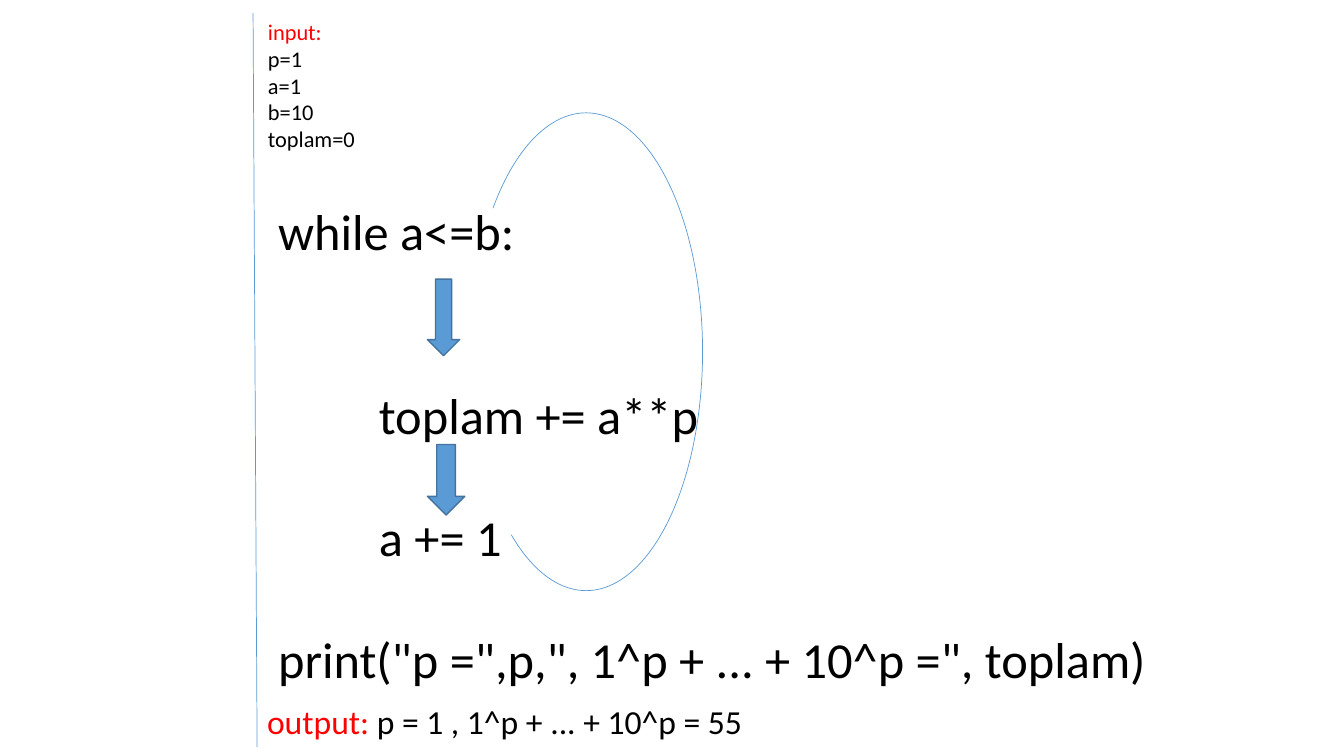
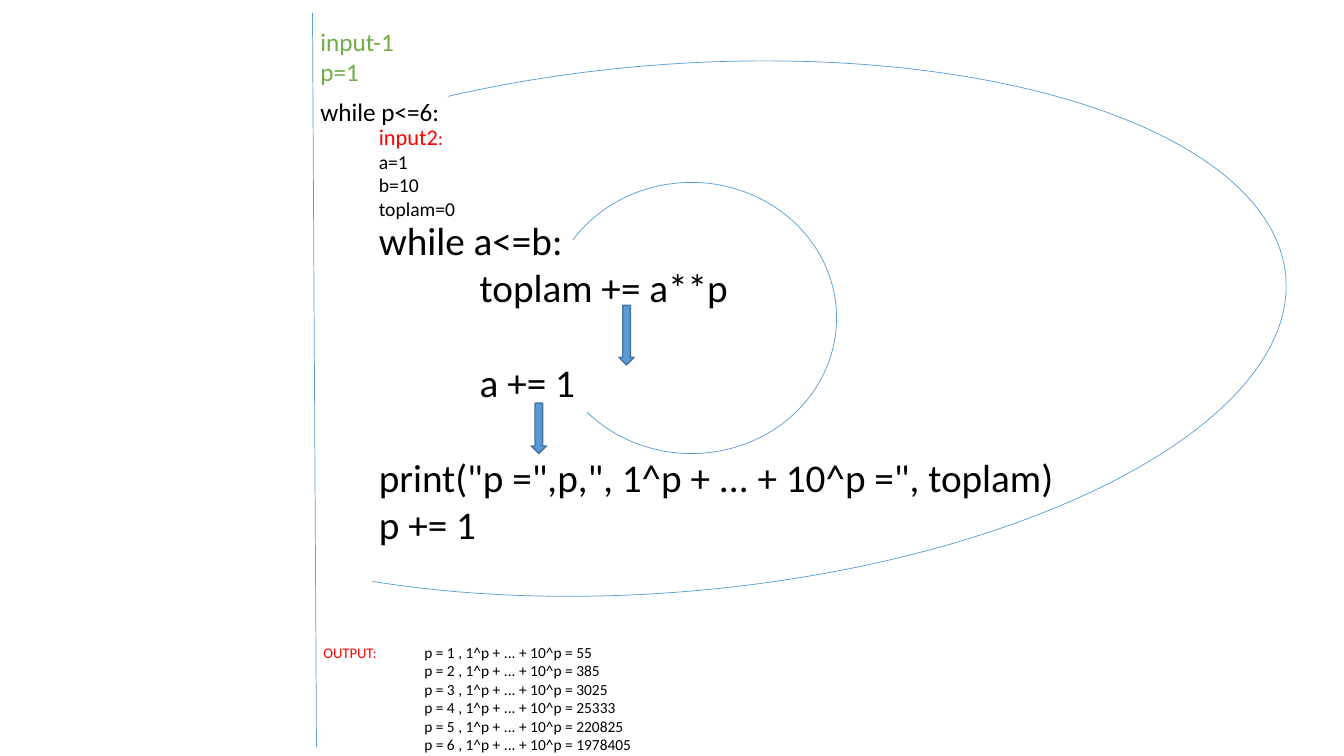
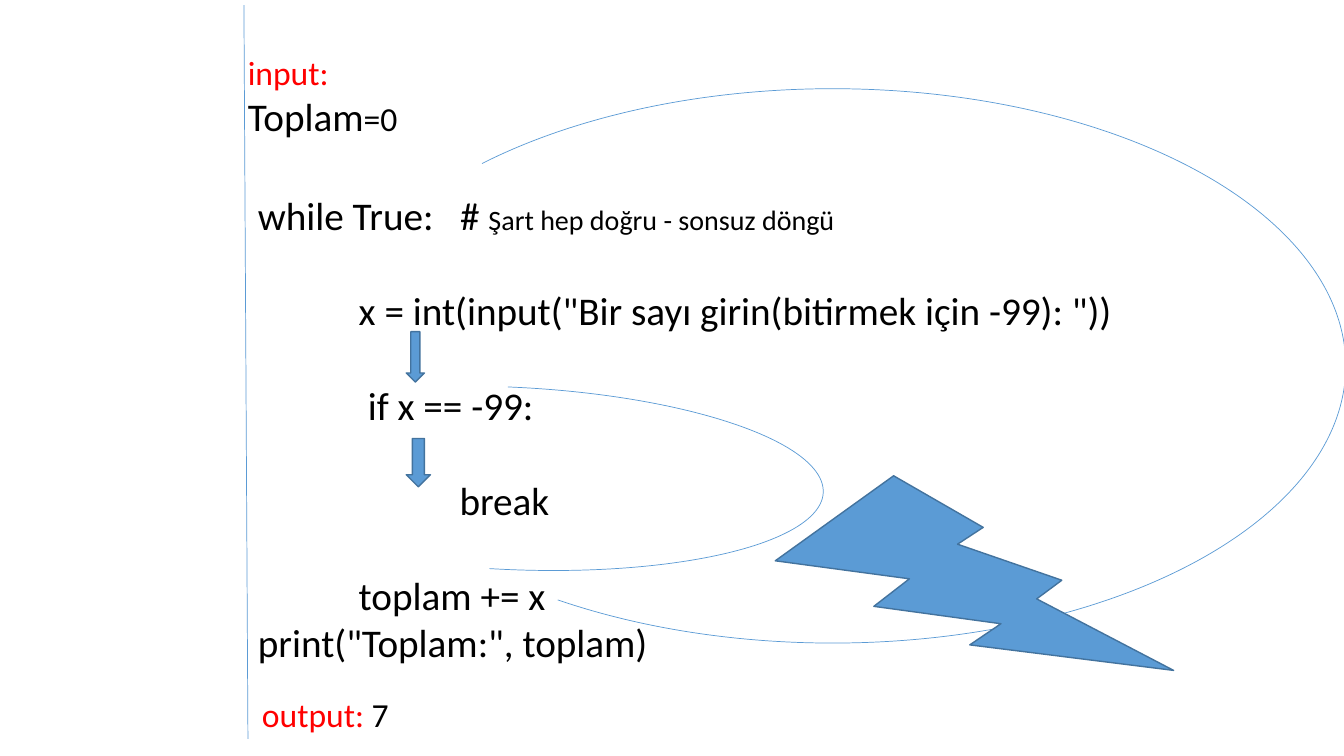
from lxml.etree import SubElement
from pptx import Presentation
from pptx.dml.color import RGBColor
from pptx.enum.shapes import MSO_CONNECTOR, MSO_SHAPE
from pptx.oxml.ns import qn
from pptx.util import Inches, Pt

BLUE = RGBColor(0x5B, 0x9B, 0xD5)
EDGE = RGBColor(0x43, 0x73, 0x9E)
RED = RGBColor(0xFF, 0x00, 0x00)
GREEN = RGBColor(0x70, 0xAD, 0x47)
BLACK = RGBColor(0x00, 0x00, 0x00)
FONT = "Calibri"
LEADING = 1.22  # line height as a multiple of the font size
TAB = Inches(1)

deck = Presentation()
deck.slide_width = Inches(13.33)
deck.slide_height = Inches(7.5)


def scale(place):
    """Turn percentages of the slide (x, y, x, y) into lengths."""
    sides = (deck.slide_width, deck.slide_height) * 2
    return [round(part * side / 100) for part, side in zip(place, sides)]


def write(slide, place, lines, size=18, color=BLACK):
    """Add text; a line is (runs, blank lines above, tabs of indent).

    Runs are a string or a list of (text, size, color).
    """
    frame = slide.shapes.add_textbox(*scale(place)).text_frame
    frame.word_wrap = True
    for row, (runs, gap, tabs) in enumerate(lines):
        para = frame.paragraphs[0] if row == 0 else frame.add_paragraph()
        if gap:
            para.space_before = Pt(round(gap * LEADING * size, 1))
        if tabs:
            para._p.get_or_add_pPr().set("marL", str(round(tabs * TAB)))
        if isinstance(runs, str):
            runs = [(runs, size, color)]
        for text, points, ink in runs:
            run = para.add_run()
            run.text = text
            run.font.name = FONT
            run.font.size = Pt(points)
            run.font.color.rgb = ink


# Slides with the thin rule at the left of the code
pages = []
for x, y in [(18.83, 1.73), (23.25, 1.73), (18.15, 0.67)]:
    page = deck.slides.add_slide(deck.slide_layouts[6])
    ends = scale((x, y, x + 0.3, y + 97.07))
    rule = page.shapes.add_connector(MSO_CONNECTOR.STRAIGHT, *ends)
    rule.line.color.rgb = BLUE
    rule.line.width = Pt(0.5)
    SubElement(rule._element.spPr, qn("a:effectLst"))
    pages.append(page)
power, nested, endless = pages

# Code, inputs and outputs
PRINT = 'print("p =",p,", 1^p + ... + 10^p =", toplam)'
write(power, (19.95, 25.87, 74.85, 66), [
    ("while a<=b:", 0, 0),
    ("toplam += a**p", 2, 1),
    ("a += 1", 1, 1),
    (PRINT, 1, 0),
], size=36)
write(power, (19.2, 1.73, 48.75, 19.33), [
    ([("input:", 16, RED)], 0, 0),
    *[(text, 0, 0) for text in ("p=1", "a=1", "b=10", "toplam=0")],
], size=16)
write(power, (19.13, 92, 50, 6.67), [
    ([("output: ", 24, RED), ("p = 1 , 1^p + ... + 10^p = 55", 24, BLACK)],
     0, 0),
])

write(nested, (27.45, 28, 54.75, 45.33), [
    ("while a<=b:", 0, 0),
    ("toplam += a**p", 0, 1),
    ("a += 1", 1, 1),
    (PRINT, 1, 0),
    ("p += 1", 0, 0),
], size=28)
write(nested, (27.45, 15.6, 48.75, 14.4), [
    ([("input2", 16, RED), (":", 14, RED)], 0, 0),
    *[(text, 0, 0) for text in ("a=1", "b=10", "toplam=0")],
], size=14)
write(nested, (23.1, 2.8, 12, 9.47),
      [("input-1", 0, 0), ("p=1", 0, 0)], color=GREEN)
write(nested, (23.1, 12.13, 12, 5.33), [("while p<=6:", 0, 0)])
sums = [f"p = {p} , 1^p + ... + 10^p = {total}" for p, total in
        enumerate((55, 385, 3025, 25333, 220825, 1978405), 1)]
write(nested, (23.33, 84.4, 35.78, 16.13), [
    ([("OUTPUT:", 10.5, RED), ("\t" + sums[0], 11, BLACK)], 0, 0),
    *[(text, 0, 1) for text in sums[1:]],
], size=11)

write(endless, (18.45, 24.67, 73.05, 64.13), [
    ([("while True:   # ", 28, BLACK),
      ("Şart hep doğru - sonsuz döngü", 20, BLACK)], 0, 0),
    ('x = int(input("Bir sayı girin(bitirmek için -99): "))', 1, 1),
    ("if x == -99:", 1, 1.09),
    ("break", 1, 2),
    ("toplam += x", 1, 1),
    ('print("Toplam:", toplam)', 0, 0),
], size=28)
write(endless, (17.7, 6.27, 51.45, 18.4), [
    ([("input:", 24, RED)], 0, 0),
    ([("Toplam", 28, BLACK), ("=0", 24, BLACK)], 0, 0),
])
write(endless, (18.75, 91.07, 53.25, 6.67),
      [([("output: ", 24, RED), ("7", 24, BLACK)], 0, 0)])

# Loop arcs: slide, place, start and end, turn
arcs = [
    (power, (34.95, 14.93, 17.33, 63.2), (142.23, 67.33), 0),
    (nested, (40.65, 24.13, 21.6, 35.87), (128.05, 82.84), 0),
    (nested, (30, -38.67, 39.23, 164.27), (84.89, 32.48), 85.2),
    (endless, (23.78, 11.73, 76.35, 73.33), (126, 83.75), 0),
    (endless, (14.48, 51.2, 46.8, 24.13), (160.04, 59.81), 2.6),
]
for page, place, span, turn in arcs:
    arc = page.shapes.add_shape(MSO_SHAPE.ARC, *scale(place))
    arc.adjustments[0], arc.adjustments[1] = span
    arc.rotation = turn
    arc.shadow.inherit = False
    arc.fill.background()
    arc.line.color.rgb = BLUE
    arc.line.width = Pt(0.5)

# Step arrows and the bolt that breaks the loop
DOWN, BOLT = MSO_SHAPE.DOWN_ARROW, MSO_SHAPE.LIGHTNING_BOLT
solids = [
    (power, DOWN, (31.8, 36.93, 2.4, 10.13), 0),
    (power, DOWN, (31.8, 58.8, 2.78, 9.33), 0),
    (nested, DOWN, (46.05, 40.4, 1.13, 7.87), 0),
    (nested, DOWN, (39.53, 53.33, 1.13, 6.67), 0),
    (endless, DOWN, (30.23, 43.87, 1.35, 6.67), 0),
    (endless, DOWN, (30.23, 58, 1.8, 6.4), 0),
    (endless, BOLT, (58.95, 60.8, 26.1, 35.2), 343.5),
]
for page, kind, place, turn in solids:
    solid = page.shapes.add_shape(kind, *scale(place))
    solid.rotation = turn
    solid.shadow.inherit = False
    solid.fill.solid()
    solid.fill.fore_color.rgb = BLUE
    solid.line.color.rgb = EDGE
    solid.line.width = Pt(1)

deck.save("out.pptx")
